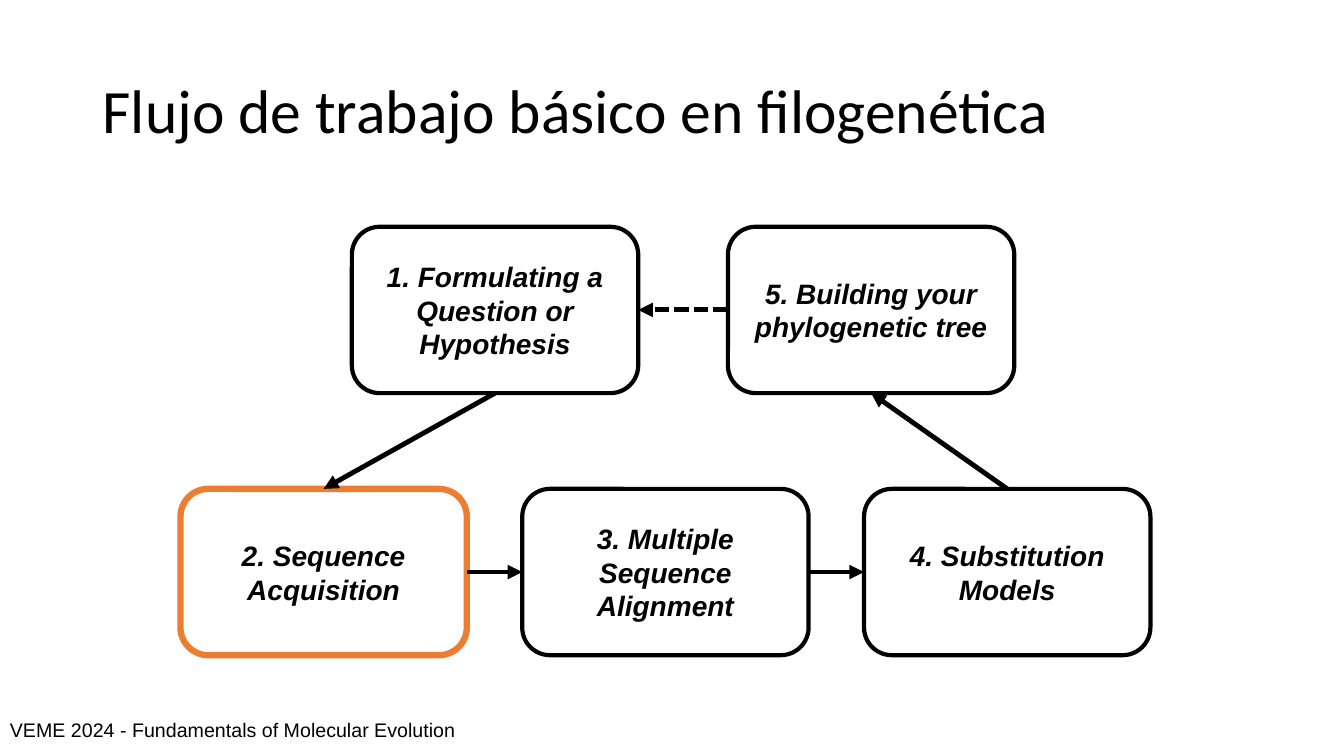
import pptx
import pptx.dml.color
import pptx.enum.dml
import pptx.enum.shapes
import pptx.enum.text
import pptx.oxml
import pptx.oxml.ns
import pptx.util
from pptx.util import Inches

BLACK, ORANGE, WHITE = "000000", "ED7D31", "FFFFFF"
BOX_WIDTH, BOX_HEIGHT = 2.84, 1.65
TOP_ROW, BOTTOM_ROW = 2.25, 4.85
BOTTOM_LEFT, BOTTOM_PITCH = 1.79, 3.39
TOP_LEFT, TOP_PITCH = 3.49, 3.73
TOP, LEFT, BOTTOM, RIGHT = range(4)


def color(hex_string):
    return pptx.dml.color.RGBColor.from_string(hex_string)


def style_text(shape, text, size, name, bold=False):
    """Set one paragraph of black text; bold text is italic too."""
    shape.text_frame.text = text
    para = shape.text_frame.paragraphs[0]
    font = para.runs[0].font
    font.size, font.name = pptx.util.Pt(size), name
    font.bold = font.italic = bold
    font.color.rgb = color(BLACK)
    return para


deck = pptx.Presentation()
deck.slide_width, deck.slide_height = Inches(13.33), Inches(7.5)
slide = deck.slides.add_slide(deck.slide_layouts[6])

title = slide.shapes.add_textbox(Inches(0.92), Inches(0.4), Inches(11.5), Inches(1.45))
title.text_frame.word_wrap = True
title.text_frame.vertical_anchor = pptx.enum.text.MSO_ANCHOR.MIDDLE
style_text(title, "Flujo de trabajo básico en filogenética", 44, "Calibri").line_spacing = 0.9

# Step number: label, left, top
steps = {
    1: ("Formulating a Question or Hypothesis", TOP_LEFT, TOP_ROW),
    2: ("Sequence Acquisition", BOTTOM_LEFT, BOTTOM_ROW),
    3: ("Multiple Sequence Alignment", BOTTOM_LEFT + BOTTOM_PITCH, BOTTOM_ROW),
    4: ("Substitution Models", BOTTOM_LEFT + 2 * BOTTOM_PITCH, BOTTOM_ROW),
    5: ("Building your phylogenetic tree", TOP_LEFT + TOP_PITCH, TOP_ROW),
}
current_step = 2
boxes = {}
for number, (label, left, top) in steps.items():
    box = slide.shapes.add_shape(
        pptx.enum.shapes.MSO_SHAPE.ROUNDED_RECTANGLE,
        Inches(left), Inches(top), Inches(BOX_WIDTH), Inches(BOX_HEIGHT))
    box.shadow.inherit = False
    box.fill.solid()
    box.fill.fore_color.rgb = color(WHITE)
    box.line.color.rgb = color(ORANGE if number == current_step else BLACK)
    box.line.width = pptx.util.Pt(4.5 if number == current_step else 3)
    box.text_frame.word_wrap = True
    box.text_frame.vertical_anchor = pptx.enum.text.MSO_ANCHOR.MIDDLE
    para = style_text(box, f"{number}. {label}", 20, "Arial", bold=True)
    para.alignment = pptx.enum.text.PP_ALIGN.CENTER
    boxes[number] = box

# Start step and side, end step and side
arrows = [
    (1, BOTTOM, 2, TOP),
    (2, RIGHT, 3, LEFT),
    (3, RIGHT, 4, LEFT),
    (4, TOP, 5, BOTTOM),
    (5, LEFT, 1, RIGHT),
]
for start, start_side, end, end_side in arrows:
    arrow = slide.shapes.add_connector(
        pptx.enum.shapes.MSO_CONNECTOR.STRAIGHT, 0, 0, 0, 0)
    arrow.begin_connect(boxes[start], start_side)
    arrow.end_connect(boxes[end], end_side)
    arrow.line.color.rgb = color(BLACK)
    arrow.line.width = pptx.util.Pt(3.5)
    if start == 5:
        arrow.line.dash_style = pptx.enum.dml.MSO_LINE.SQUARE_DOT
        preset_dash = arrow.line._ln.find(pptx.oxml.ns.qn("a:prstDash"))
        preset_dash.set("val", "sysDash")
    namespace = pptx.oxml.ns.nsdecls("a")
    arrow.line._ln.append(pptx.oxml.parse_xml(f'<a:tailEnd {namespace} type="triangle"/>'))
    arrow._element.spPr.append(pptx.oxml.parse_xml(f"<a:effectLst {namespace}/>"))

footer = slide.shapes.add_textbox(0, Inches(7.07), Inches(4.64), Inches(0.34))
footer.text_frame.word_wrap = False
footer.text_frame.auto_size = pptx.enum.text.MSO_AUTO_SIZE.SHAPE_TO_FIT_TEXT
style_text(footer, "VEME 2024 - Fundamentals of Molecular Evolution", 14, "Arial")

deck.save("out.pptx")
